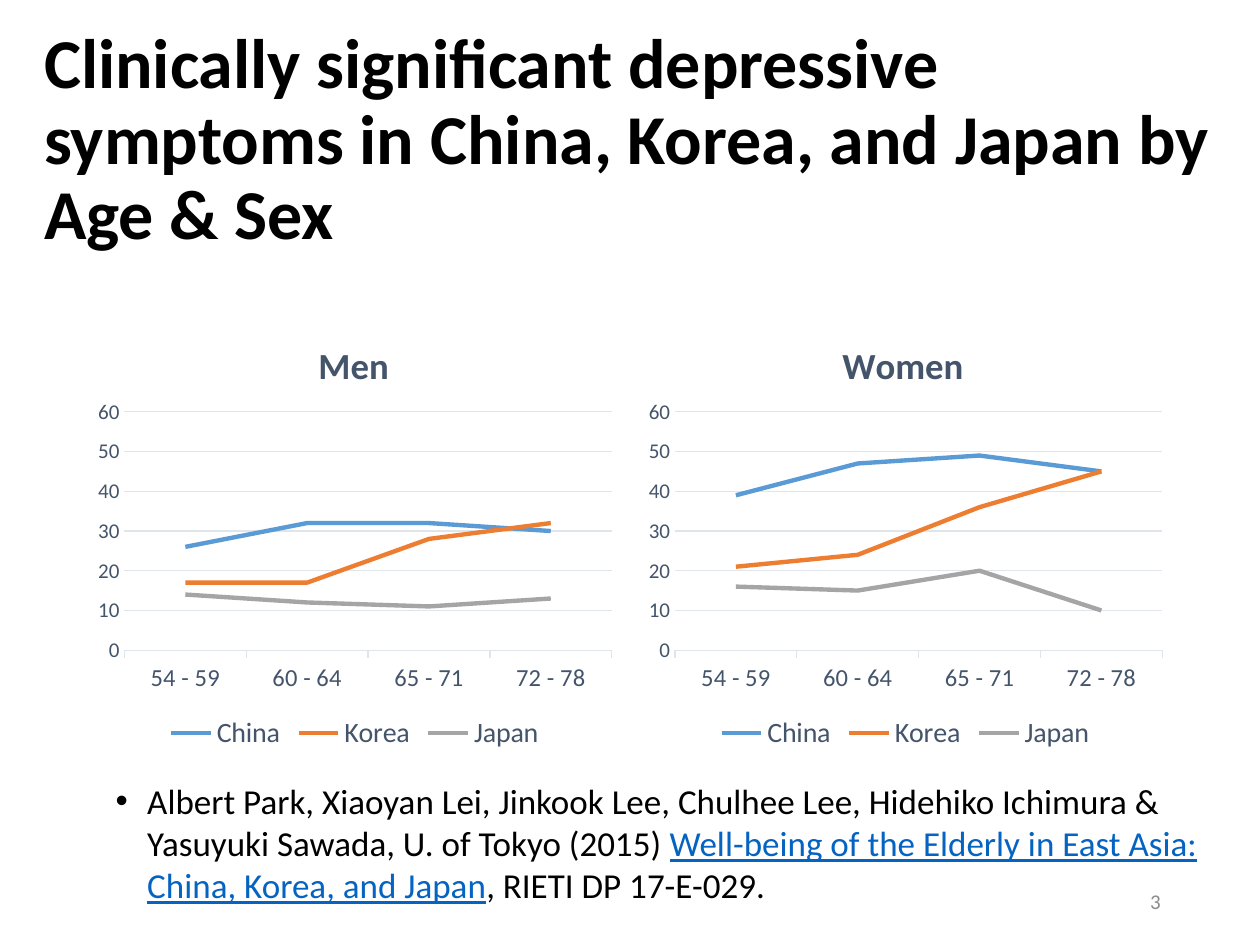
from lxml import etree
from pptx import Presentation
from pptx.chart.data import CategoryChartData
from pptx.dml.color import RGBColor
from pptx.enum.chart import XL_CHART_TYPE, XL_LEGEND_POSITION, XL_TICK_MARK
from pptx.enum.text import MSO_ANCHOR, MSO_AUTO_SIZE, PP_ALIGN
from pptx.oxml import parse_xml
from pptx.oxml.ns import nsdecls, qn
from pptx.util import Inches, Pt

LINE_CHART = XL_CHART_TYPE.LINE
LEGEND_BOTTOM = XL_LEGEND_POSITION.BOTTOM
TICK_NONE, TICK_OUT = XL_TICK_MARK.NONE, XL_TICK_MARK.OUTSIDE
MIDDLE, TOP = MSO_ANCHOR.MIDDLE, MSO_ANCHOR.TOP
LEFT, RIGHT = PP_ALIGN.LEFT, PP_ALIGN.RIGHT

FONT = "Calibri"
COLORS = {
    "text": "000000", "chart_text": "44546A", "grid": "E0E5EB",
    "link": "0563C1", "page": "8C8C8C",
    "China": "5B9BD5", "Korea": "ED7D31", "Japan": "A5A5A5",
}
AGES = ["54 - 59", "60 - 64", "65 - 71", "72 - 78"]
# Chart title, its left edge as a share of the chart, and rates by country
PANELS = [
    ("Men", 0.42, {"China": [26, 32, 32, 30], "Korea": [17, 17, 28, 32],
                   "Japan": [14, 12, 11, 13]}),
    ("Women", 0.37, {"China": [39, 47, 49, 45], "Korea": [21, 24, 36, 45],
                     "Japan": [16, 15, 20, 10]}),
]
CITATION = [
    ("Albert Park, Xiaoyan Lei, Jinkook Lee, Chulhee Lee, Hidehiko Ichimura "
     "& Yasuyuki Sawada, U. of Tokyo (2015) ", {}),
    ("Well-being of the Elderly in East Asia: China, Korea, and Japan",
     {"color": "link", "underline": True}),
    (", RIETI DP 17-E-029.", {}),
]


def rgb(name):
    return RGBColor.from_string(COLORS[name])


def style_font(font, size, color="text", bold=False, underline=None):
    font.name, font.size = FONT, Pt(size)
    font.bold, font.underline = bold, underline
    font.color.rgb = rgb(color)


def add_text(paragraph, text, **font_format):
    run = paragraph.add_run()
    run.text = text
    style_font(run.font, **font_format)


def style_line(line, color, width):
    line.color.rgb = rgb(color)
    line.width = Pt(width)


def set_layout(parent, before, x, y, w=None, h=None):
    """Place a chart part by shares of the chart, ahead of the `before` tag."""
    for old in parent.findall(qn("c:layout")):
        parent.remove(old)
    shares = {"x": x, "y": y, "w": w, "h": h}
    target = '<c:layoutTarget val="inner"/>' if w else ""
    modes = '<c:xMode val="edge"/><c:yMode val="edge"/>'
    sizes = "".join(f'<c:{key} val="{share}"/>'
                    for key, share in shares.items() if share is not None)
    layout = parse_xml(f'<c:layout {nsdecls("c")}><c:manualLayout>{target}'
                       f'{modes}{sizes}</c:manualLayout></c:layout>')
    parent.find(qn(before)).addprevious(layout)


def add_frame(slide, box, anchor, align):
    frame = slide.shapes.add_textbox(*map(Inches, box)).text_frame
    frame.word_wrap = True
    frame.vertical_anchor = anchor
    frame.paragraphs[0].alignment = align
    return frame.paragraphs[0]


def place_title(slide, box, text):
    title = slide.shapes.title
    title.left, title.top, title.width, title.height = map(Inches, box)
    frame = title.text_frame
    frame.auto_size = MSO_AUTO_SIZE.NONE
    frame.vertical_anchor = MIDDLE
    heading = frame.paragraphs[0]
    heading.alignment, heading.line_spacing = LEFT, 0.9
    add_text(heading, text, size=40, bold=True)


def style_axes(chart):
    ages, rates = chart.category_axis, chart.value_axis
    ages.major_tick_mark = TICK_OUT
    style_font(ages.tick_labels.font, 14, "chart_text")
    style_line(ages.format.line, "grid", 0.75)
    rates.minimum_scale, rates.maximum_scale, rates.major_unit = 0, 60, 10
    rates.major_tick_mark = TICK_NONE
    rates.format.line.fill.background()
    style_font(rates.tick_labels.font, 12, "chart_text")
    style_line(rates.major_gridlines.format.line, "grid", 0.75)


def add_panel(slide, box, name, name_left, rates):
    data = CategoryChartData()
    data.categories = AGES
    for country, values in rates.items():
        data.add_series(country, values)
    chart = slide.shapes.add_chart(LINE_CHART, *map(Inches, box), data).chart
    style_font(chart.font, 10)
    style_axes(chart)

    heading = chart.chart_title
    add_text(heading.text_frame.paragraphs[0], name, size=21,
             color="chart_text", bold=True)
    heading.include_in_layout = False
    set_layout(heading._element, "c:overlay", name_left, 0.06)
    plot_area = chart._chartSpace.chart.plotArea
    set_layout(plot_area, "c:lineChart", 0.07, 0.235, 0.91, 0.53)

    chart.has_legend = True
    chart.legend.position = LEGEND_BOTTOM
    chart.legend.include_in_layout = False
    style_font(chart.legend.font, 16, "chart_text")

    plot = chart.plots[0]
    plot.vary_by_categories = False
    for series in plot.series:
        series.smooth = False
        style_line(series.format.line, series.name, 2.5)


def add_citation(slide, box):
    citation = add_frame(slide, box, TOP, LEFT)
    properties = citation._p.get_or_add_pPr()
    properties.set("marL", str(Inches(0.25)))
    properties.set("indent", str(-Inches(0.25)))
    bullet_font = etree.SubElement(properties, qn("a:buFont"))
    bullet_font.set("typeface", "Arial")
    etree.SubElement(properties, qn("a:buChar")).set("char", "•")
    for text, font_format in CITATION:
        add_text(citation, text, size=20, **font_format)


def add_page_number(slide, box, number):
    add_text(add_frame(slide, box, MIDDLE, RIGHT), number, size=12, color="page")


def main():
    deck = Presentation()
    deck.slide_width, deck.slide_height = Inches(10), Inches(7.5)
    slide = deck.slides.add_slide(deck.slide_layouts[5])

    place_title(slide, (0.25, 0.4, 9.52, 1.45),
                "Clinically significant depressive symptoms in China, Korea, "
                "and Japan by Age & Sex")
    margin, gap, width = 0.69, 0.12, 4.25
    for column, panel in enumerate(PANELS):
        left = margin + column * (width + gap)
        add_panel(slide, (left, 2.43, width, 3.57), *panel)
    add_page_number(slide, (7.06, 6.95, 2.25, 0.4), "3")
    add_citation(slide, (0.82, 6.14, 8.95, 1.36))
    deck.save("out.pptx")


if __name__ == "__main__":
    main()
